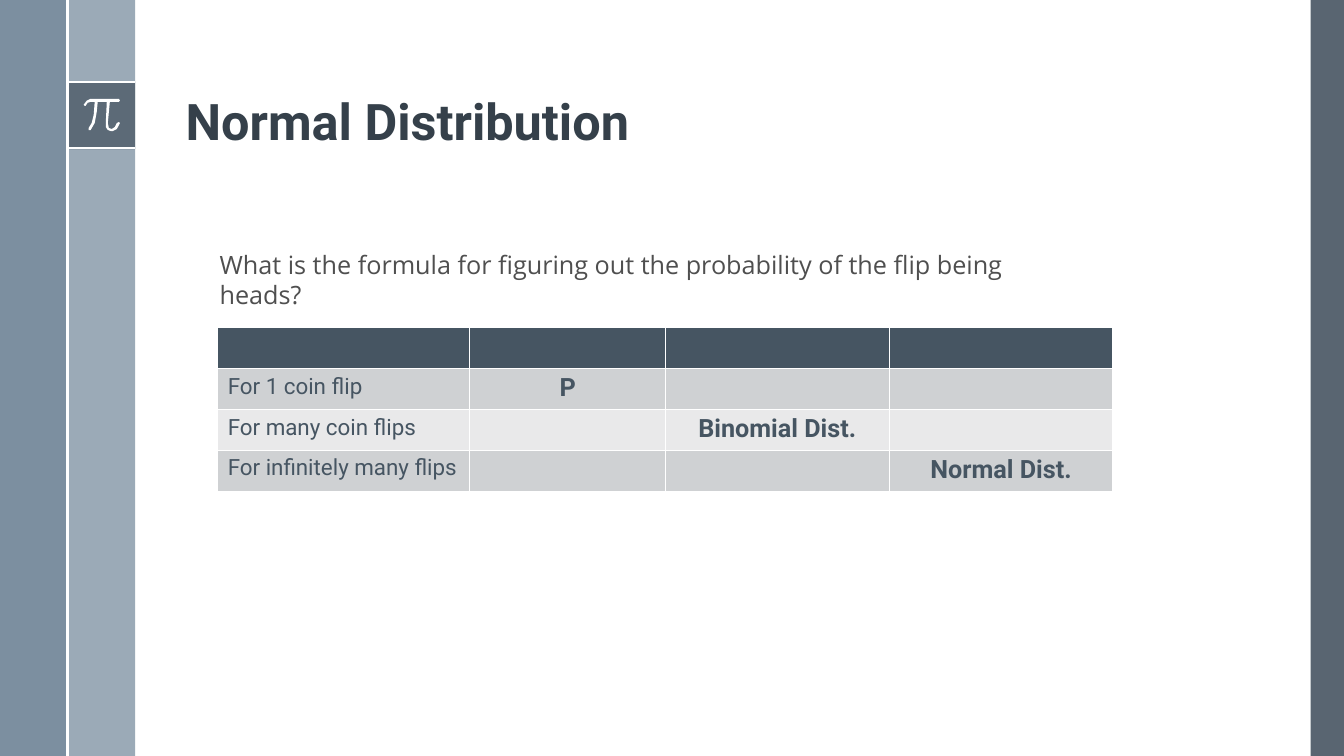
from lxml import etree
from pptx import Presentation
from pptx.dml.color import RGBColor
from pptx.enum.shapes import MSO_CONNECTOR, MSO_SHAPE
from pptx.enum.text import MSO_ANCHOR, PP_ALIGN
from pptx.oxml.ns import qn
from pptx.util import Inches, Pt

RECT = MSO_SHAPE.RECTANGLE
LINE = MSO_CONNECTOR.STRAIGHT
LEFT, CENTER = PP_ALIGN.LEFT, PP_ALIGN.CENTER
BOTTOM = MSO_ANCHOR.BOTTOM

# Content
TITLE = "Normal Distribution"
ASK = ("What is the formula for figuring out the probability "
       "of the flip being heads?")
ROWS = [
    ("", "", "", ""),
    ("For 1 coin flip", "P", "", ""),
    ("For many coin flips", "", "Binomial Dist.", ""),
    ("For infinitely many flips", "", "", "Normal Dist."),
]
COLS = (2.5, 1.94, 2.22, 2.22)
ROW_H = 0.405

# Side bands: left, top, width, height, colour name, opacity in percent
BAR = 0.67
BANDS = [
    (13, 0, 0.33, 7.5, "slate", 90),
    (BAR, 0, BAR, 7.5, "mist", 100),
    (0, 0, BAR, 7.5, "steel", 88),
    (BAR, 0.81, BAR, BAR, "slate", 75),
]
RULES = [
    (BAR, 0.81, 2 * BAR, 0.81),
    (BAR, 1.47, 2 * BAR, 1.47),
    (BAR, 0, BAR, 7.5),
]
PI = [
    (1.18, 0.98), (0.9, 0.98), (0.86, 1), (0.83, 1.04), (0.84, 1.05),
    (0.85, 1.05), (0.87, 1.02), (0.9, 1.01), (0.94, 1.01), (0.93, 1.14),
    (0.91, 1.22), (0.88, 1.27), (0.88, 1.29), (0.9, 1.29), (0.94, 1.22),
    (0.96, 1.11), (0.97, 1.01), (1.06, 1.01), (1.05, 1.22), (1.05, 1.26),
    (1.07, 1.29), (1.1, 1.3), (1.12, 1.3), (1.16, 1.28), (1.19, 1.22),
    (1.18, 1.21), (1.16, 1.22), (1.14, 1.26), (1.11, 1.28), (1.08, 1.27),
    (1.07, 1.22), (1.09, 1.01), (1.18, 1.01), (1.19, 1),
]

THEME = {
    "slate": "475562", "mist": "9BAAB7", "steel": "6A8093",
    "white": "FFFFFF", "title": "35404A", "ask": "4F4F4F",
    "head": "465562", "odd": "CFD1D3", "even": "E9E9EA",
    "font": "Roboto", "ask_font": "Open Sans",
    "title_pt": 36, "ask_pt": 18, "label_pt": 16, "value_pt": 18,
}


def color(name):
    return RGBColor.from_string(THEME[name])


def paint(shape, name, alpha=100):
    shape.shadow.inherit = False
    shape.fill.solid()
    shape.fill.fore_color.rgb = color(name)
    shape.line.fill.background()
    if alpha < 100:
        tint = shape.fill._xPr.find(".//" + qn("a:srgbClr"))
        etree.SubElement(tint, qn("a:alpha"), val=str(alpha * 1000))


def write(frame, text, size, tone, face="font", bold=False, align=LEFT):
    frame.text = text
    para = frame.paragraphs[0]
    para.alignment = align
    for run in para.runs:
        font = run.font
        font.name, font.size = THEME[face], Pt(THEME[size])
        font.bold, font.color.rgb = bold, color(tone)
    return para


def add_bands(slide):
    for x, y, w, h, name, alpha in BANDS:
        box = slide.shapes.add_shape(
            RECT, Inches(x), Inches(y), Inches(w), Inches(h))
        paint(box, name, alpha)
    for ends in RULES:
        rule = slide.shapes.add_connector(LINE, *map(Inches, ends))
        rule.line.color.rgb = color("white")
        rule.line.width = Pt(1.5)
        etree.SubElement(rule._element.spPr, qn("a:effectLst"))


def add_pi(slide):
    points = [(Inches(x), Inches(y)) for x, y in PI]
    path = slide.shapes.build_freeform(*points[0])
    path.add_line_segments(points[1:], close=True)
    paint(path.convert_to_shape(), "white")


def add_title(slide):
    title = slide.shapes.title
    title.left, title.top = Inches(1.74), Inches(0.19)
    title.width, title.height = Inches(10.7), Inches(1.36)
    frame = title.text_frame
    frame.vertical_anchor = BOTTOM
    para = write(frame, TITLE, "title_pt", "title", bold=True)
    para.line_spacing = 0.9


def add_table(slide):
    table = slide.shapes.add_table(
        len(ROWS), len(COLS), Inches(2.16), Inches(3.25),
        Inches(sum(COLS)), Inches(ROW_H * len(ROWS))).table
    for col, width in zip(table.columns, COLS):
        col.width = Inches(width)
    for r, row in enumerate(ROWS):
        fill = "head" if r == 0 else "odd" if r % 2 else "even"
        for c, text in enumerate(row):
            cell = table.cell(r, c)
            cell.fill.solid()
            cell.fill.fore_color.rgb = color(fill)
            if text:
                value = c > 0
                write(cell.text_frame, text,
                      "value_pt" if value else "label_pt", "head",
                      bold=value, align=CENTER if value else LEFT)


def add_ask(slide):
    box = slide.shapes.add_textbox(
        Inches(2.08), Inches(2.42), Inches(8.58), Inches(0.7))
    box.text_frame.word_wrap = True
    write(box.text_frame, ASK, "ask_pt", "ask", "ask_font")


def main():
    deck = Presentation()
    deck.slide_width, deck.slide_height = Inches(13.33), Inches(7.5)
    slide = deck.slides.add_slide(deck.slide_layouts[5])
    add_bands(slide)
    add_pi(slide)
    add_title(slide)
    add_table(slide)
    add_ask(slide)
    deck.save("out.pptx")


if __name__ == "__main__":
    main()
